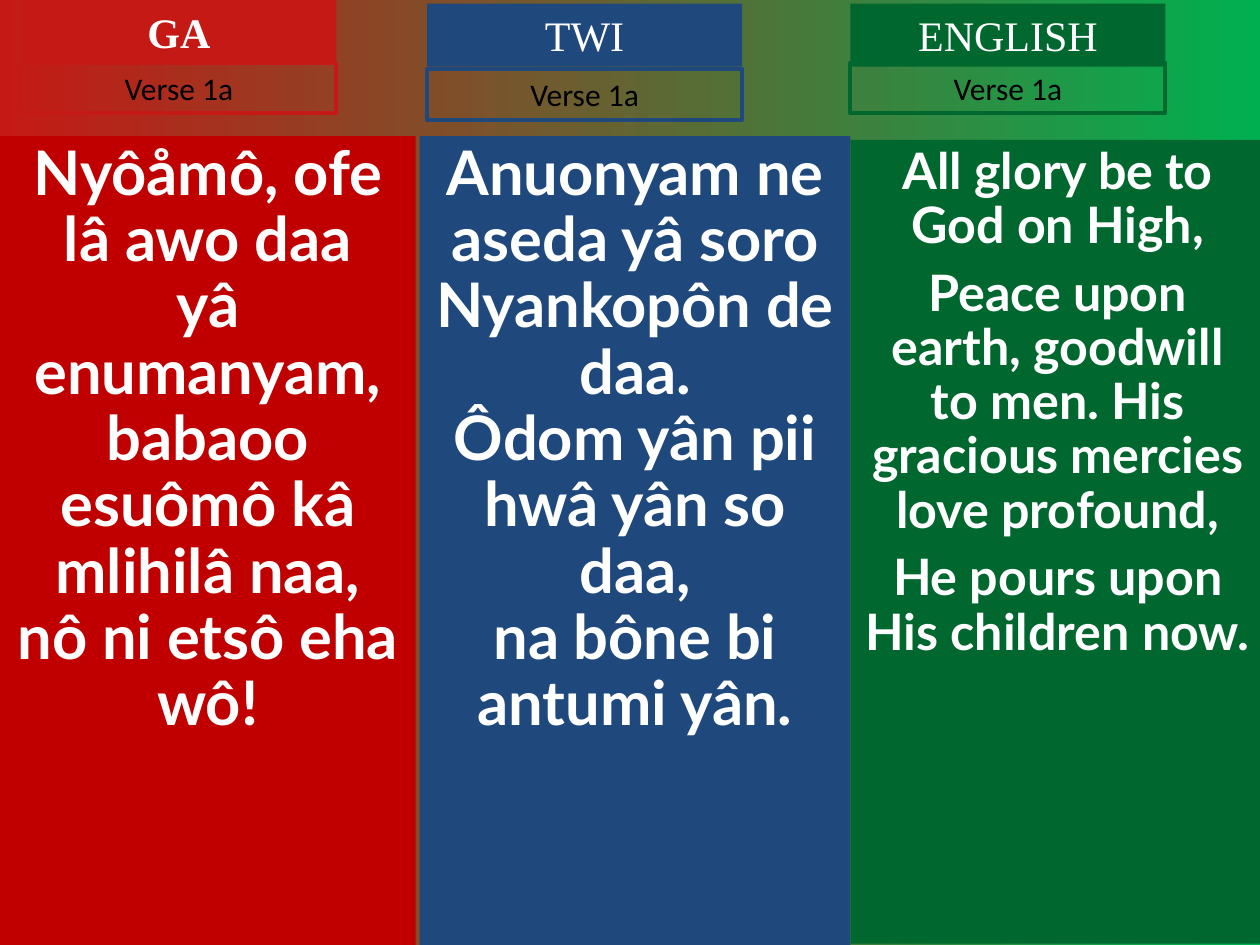
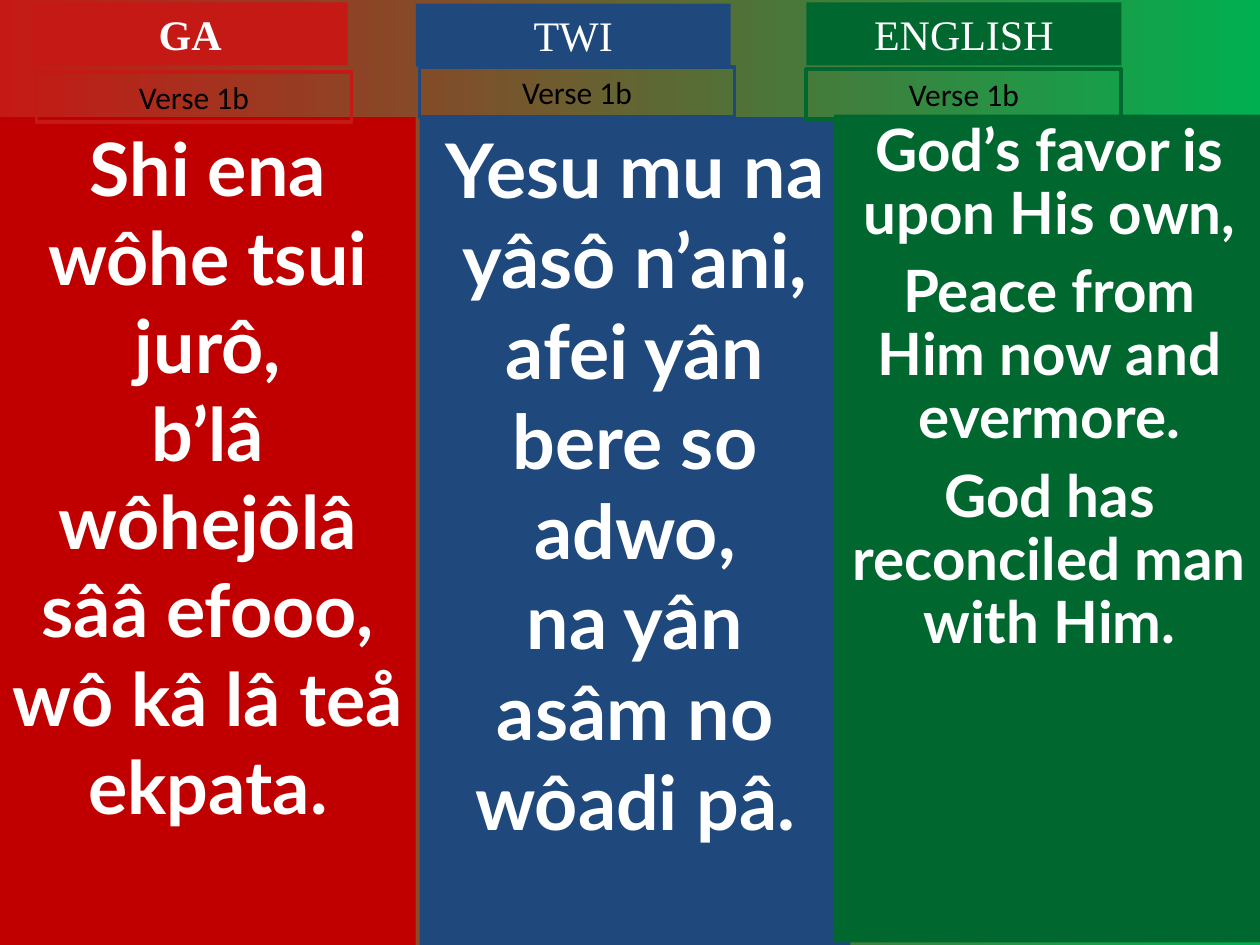
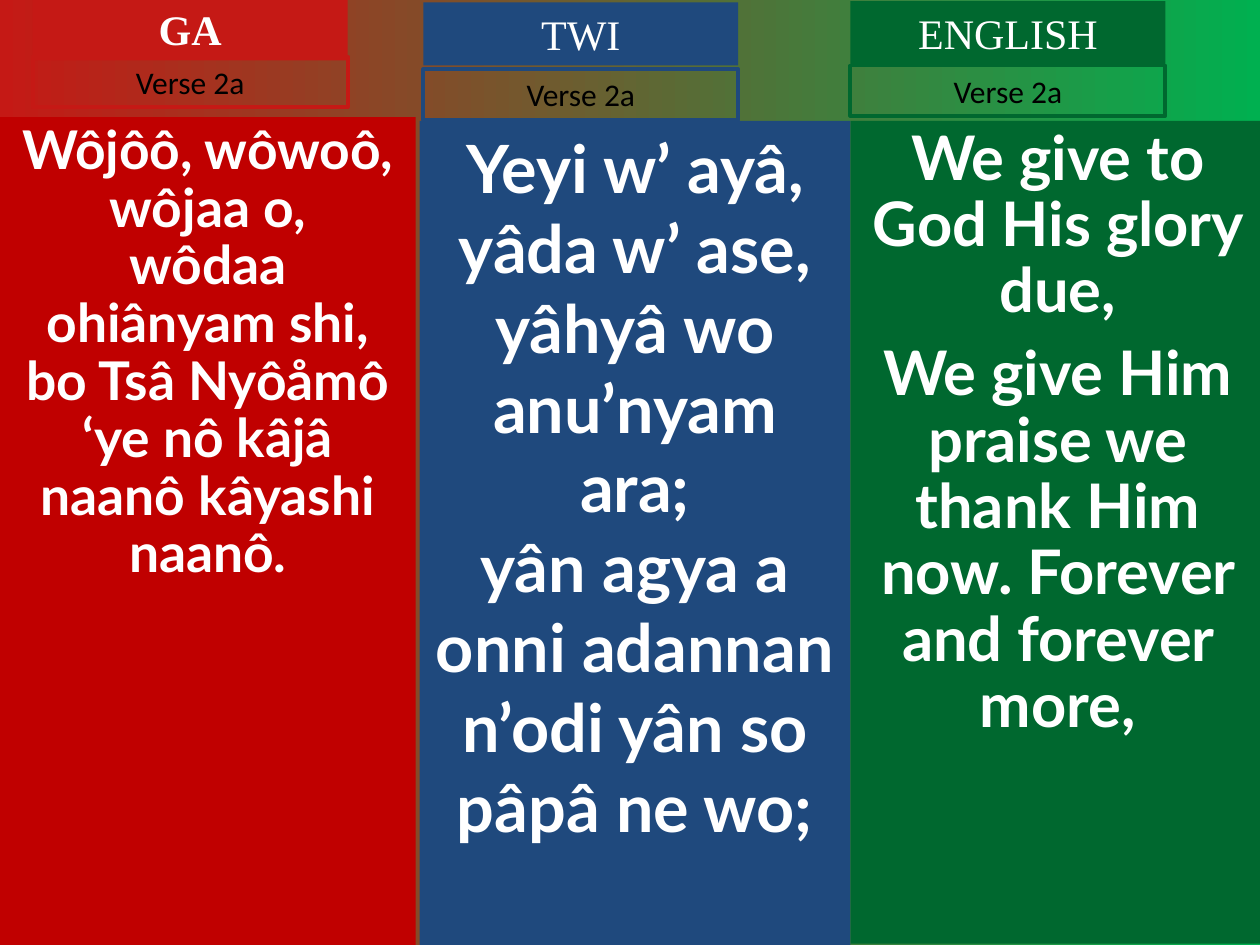
from dataclasses import dataclass

from pptx import Presentation
from pptx.dml.color import RGBColor
from pptx.enum.shapes import MSO_SHAPE
from pptx.enum.text import MSO_ANCHOR, MSO_AUTO_SIZE, PP_ALIGN
from pptx.util import Inches, Pt

RECTANGLE = MSO_SHAPE.RECTANGLE
TOP = MSO_ANCHOR.TOP
CENTER = PP_ALIGN.CENTER
GROW = MSO_AUTO_SIZE.SHAPE_TO_FIT_TEXT
FIXED = MSO_AUTO_SIZE.NONE

SLIDE_W, SLIDE_H = Inches(10), Inches(7.5)
COL, ROW = SLIDE_W / 10, SLIDE_H / 7.5
TAB_W, HEADING_H, LABEL_H = 2.5, 0.5, 0.4

RED = RGBColor(0xC5, 0x19, 0x15)
DARK_RED = RGBColor(0xC0, 0x00, 0x00)
BLUE = RGBColor(0x1F, 0x49, 0x7D)
DARK_GREEN = RGBColor(0x00, 0x68, 0x2F)
GREEN = RGBColor(0x00, 0xB0, 0x50)
WHITE = RGBColor(0xFF, 0xFF, 0xFF)
BLACK = RGBColor(0x00, 0x00, 0x00)


@dataclass
class Language:
    """Look shared by every column of one language."""
    name: str
    tab_color: RGBColor
    body_color: RGBColor
    bold: bool = False


@dataclass
class Column:
    """Lyrics of one language; the heading and label sit relative to the box."""
    language: Language
    box: tuple
    heading_dx: float
    heading_top: float
    label_dx: float
    label_top: float
    size: float
    lines: list
    spacing: float = 0.9
    gap: float = 0


GA = Language("GA", RED, DARK_RED, True)
TWI = Language("TWI", BLUE, BLUE)
ENGLISH = Language("ENGLISH", DARK_GREEN, DARK_GREEN)

VERSES = {
    "Verse 1a": [
        Column(GA, (0, 1.08, 3.3, 6.42), 0.17, 0, 0.17, 0.5, 35.1, [
            "Nyôåmô, ofe lâ awo daa",
            "yâ enumanyam, babaoo",
            "esuômô kâ mlihilâ naa,",
            "nô ni etsô eha wô!"]),
        Column(TWI, (3.33, 1.08, 3.42, 6.42), 0.06, 0.03, 0.06, 0.55, 35.1, [
            "Anuonyam ne aseda yâ soro Nyankopôn de daa.",
            "Ôdom yân pii hwâ yân so daa,",
            "na bône bi antumi yân."]),
        Column(ENGLISH, (6.75, 1.11, 3.29, 6.38), 0, 0.03, 0, 0.5, 28.7, [
            "All glory be to God on High,",
            "Peace upon earth, goodwill to men. His gracious mercies love profound,",
            "He pours upon His children now."], gap=7.7),
    ],
    "Verse 1b": [
        Column(GA, (0, 0.93, 3.3, 6.57), 0.26, 0.02, 0.29, 0.57, 42, [
            "Shi ena wôhe tsui jurô,",
            "b’lâ wôhejôlâ sââ efooo,",
            "wô kâ lâ teå ekpata."], spacing=1.0),
        Column(TWI, (3.33, 0.93, 3.42, 6.57), -0.03, 0.03, 0, 0.53, 43, [
            "Yesu mu na yâsô n’ani,",
            "afei yân bere so adwo,",
            "na yân asâm no wôadi pâ."], spacing=1.0),
        Column(ENGLISH, (6.62, 0.91, 3.42, 6.57), -0.22, 0.02, -0.22, 0.55, 33.3, [
            "God’s favor is upon His own,",
            "Peace from Him now and evermore.",
            "God has reconciled man with Him."], gap=9),
    ],
    "Verse 2a": [
        Column(GA, (0, 0.93, 3.3, 6.57), 0.26, -0.02, 0.26, 0.45, 30.5, [
            "Wôjôô, wôwoô, wôjaa o,",
            "wôdaa ohiânyam shi,",
            "bo Tsâ Nyôåmô ‘ye nô kâjâ",
            "naanô kâyashi naanô."]),
        Column(TWI, (3.33, 0.96, 3.42, 6.54), 0.03, 0.02, 0.03, 0.55, 38, [
            "Yeyi w’ ayâ, yâda w’ ase,",
            "yâhyâ wo anu’nyam ara;",
            "yân agya a onni adannan",
            "n’odi yân so pâpâ ne wo;"], spacing=1.0),
        Column(ENGLISH, (6.75, 0.96, 3.29, 6.53), 0, 0.01, 0, 0.52, 35.1, [
            "We give to God His glory due,",
            "We give Him praise we thank Him now. Forever and forever more,"], gap=9.5),
    ],
}


def set_background(prs):
    """Give every slide the red to green gradient through the master."""
    fill = prs.slide_master.background.fill
    fill.gradient()
    fill.gradient_angle = 0
    for stop, color, position in zip(fill.gradient_stops, (RED, GREEN), (0, 1)):
        stop.color.rgb = color
        stop.position = position


def add_panel(s, box, lines, font, size, color, bold=False, fill=None, line=None,
              auto_size=GROW, spacing=1.0, gap=0):
    """Add a rectangle with centred paragraphs, filled or outlined."""
    left, top, width, height = box
    sp = s.shapes.add_shape(RECTANGLE, round(left * COL), round(top * ROW),
                            round(width * COL), round(height * ROW))
    sp.shadow.inherit = False
    if fill is None:
        sp.fill.background()
    else:
        sp.fill.solid()
        sp.fill.fore_color.rgb = fill
    if line is None:
        sp.line.fill.background()
    else:
        sp.line.color.rgb = line
        sp.line.width = Pt(2.25)
    tf = sp.text_frame
    tf.text = "\n".join(lines)
    tf.word_wrap = True
    tf.auto_size = auto_size
    tf.vertical_anchor = TOP
    for i, p in enumerate(tf.paragraphs):
        p.alignment = CENTER
        p.line_spacing = spacing
        p.space_before = Pt(gap if i else 0)
        for r in p.runs:
            r.font.name = font
            r.font.size = Pt(size)
            r.font.bold = bold
            r.font.color.rgb = color


def add_column(s, column, verse):
    """Place the lyrics of one language with its heading and verse label."""
    language, left = column.language, column.box[0]
    add_panel(s, column.box, column.lines, "Lato", column.size, WHITE, True,
              fill=language.body_color, auto_size=FIXED,
              spacing=column.spacing, gap=column.gap)
    add_panel(s, (left + column.heading_dx, column.heading_top, TAB_W, HEADING_H),
              [language.name], "Times New Roman", 24, WHITE, language.bold,
              fill=language.tab_color)
    add_panel(s, (left + column.label_dx, column.label_top, TAB_W, LABEL_H),
              [verse], "Calibri", 18, BLACK, line=language.tab_color)


def add_verse_slide(prs, verse, columns):
    """Add one slide with a verse in three languages."""
    s = prs.slides.add_slide(prs.slide_layouts[6])
    for column in columns:
        add_column(s, column, verse)


def main():
    """Build the hymn slides and save them."""
    prs = Presentation()
    prs.slide_width, prs.slide_height = SLIDE_W, SLIDE_H
    set_background(prs)
    for verse, columns in VERSES.items():
        add_verse_slide(prs, verse, columns)
    prs.save("out.pptx")


if __name__ == "__main__":
    main()
